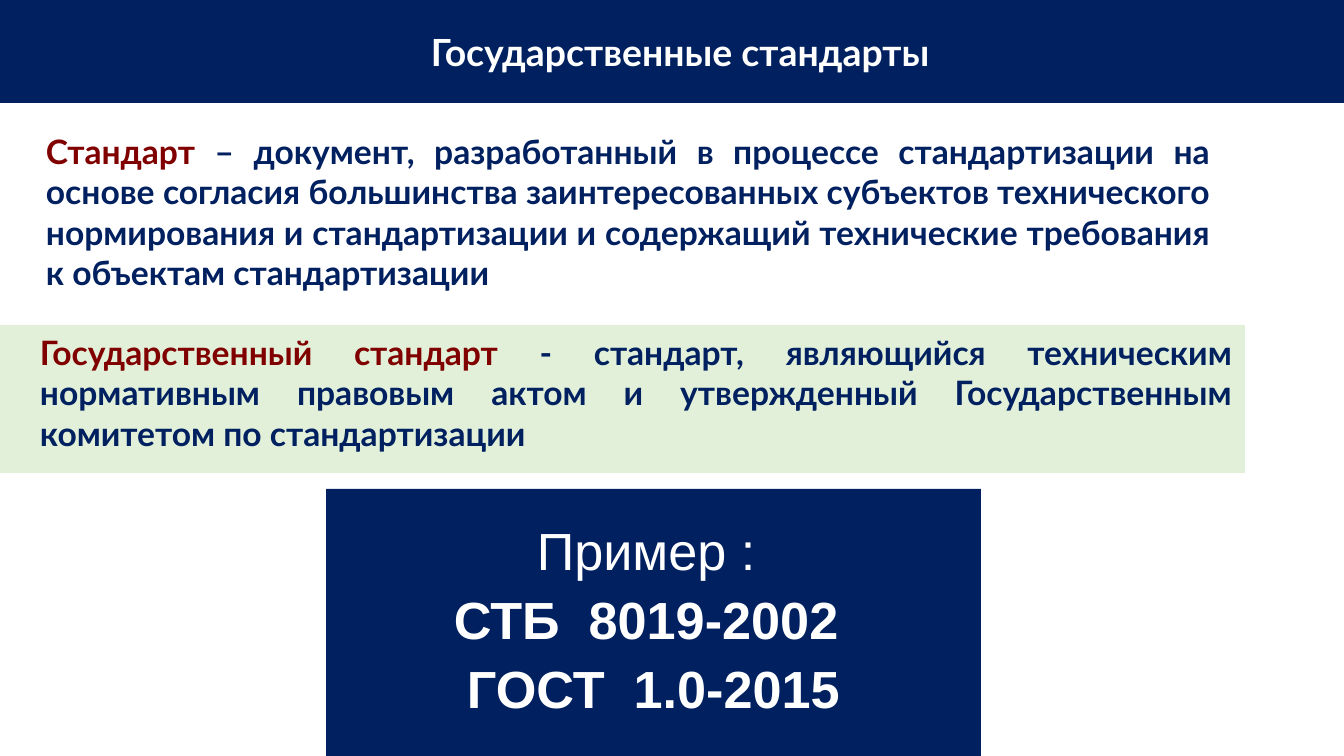
from pptx import Presentation
from pptx.dml.color import RGBColor
from pptx.enum.shapes import MSO_SHAPE
from pptx.enum.text import MSO_ANCHOR, MSO_AUTO_SIZE, PP_ALIGN
from pptx.util import Emu, Pt

RECTANGLE = MSO_SHAPE.RECTANGLE
TOP, MIDDLE = MSO_ANCHOR.TOP, MSO_ANCHOR.MIDDLE
CENTER, JUSTIFY = PP_ALIGN.CENTER, PP_ALIGN.JUSTIFY
NAVY, MAROON, GREEN, WHITE = "002060", "800000", "E2F0D9", "FFFFFF"
TITLE_ONLY = 5


def px(count):
    return Emu(round(count * 914400 / 100.8))


def write(box, paragraphs, size, font="Lato", align=JUSTIFY, anchor=TOP,
          fill=None, indent=0, after=0, spacing=1.0, insets=(13, 7)):
    """Fill the box with paragraphs, each a list of (text, colour, bold)."""
    if fill:
        box.fill.solid()
        box.fill.fore_color.rgb = RGBColor.from_string(fill)
        box.line.fill.background()
    frame = box.text_frame
    frame.word_wrap = True
    frame.auto_size = MSO_AUTO_SIZE.NONE
    frame.vertical_anchor = anchor
    frame.margin_left = frame.margin_right = px(insets[0])
    frame.margin_top = frame.margin_bottom = px(insets[1])
    for index, spans in enumerate(paragraphs):
        para = frame.add_paragraph() if index else frame.paragraphs[0]
        para.alignment = align
        para.line_spacing = spacing
        para.space_before = Pt(round(size * 0.24, 1))
        para.space_after = Pt(after)
        properties = para._p.get_or_add_pPr()
        properties.set("marL", str(px(indent)))
        properties.set("indent", "0")
        for text, color, bold in spans:
            span = para.add_run()
            span.text = text
            span.font.name = font
            span.font.size = Pt(size)
            span.font.bold = bold
            span.font.color.rgb = RGBColor.from_string(color)


deck = Presentation()
deck.slide_width, deck.slide_height = px(1344), px(756)
page = deck.slides.add_slide(deck.slide_layouts[TITLE_ONLY])

title = page.shapes.title
title.left, title.top, title.width, title.height = px(0), px(0), px(1344), px(103)
write(title, [[("Государственные стандарты", WHITE, True)]], 26.7,
      align=CENTER, anchor=MIDDLE, fill=NAVY, indent=17)

definition = page.shapes.add_textbox(px(16), px(124), px(1207), px(201))
write(definition, [[
    ("Стандарт ", MAROON, True),
    ("– документ, разработанный в процессе стандартизации на основе согласия "
     "большинства заинтересованных субъектов технического нормирования и "
     "стандартизации и содержащий технические требования к объектам "
     "стандартизации", NAVY, True),
]], 24, indent=17, after=8)

state_standard = page.shapes.add_shape(RECTANGLE, px(0), px(325), px(1245), px(148))
state_standard.shadow.inherit = False
write(state_standard, [[
    ("Государственный стандарт ", MAROON, True),
    ("- стандарт, являющийся техническим нормативным правовым актом и "
     "утвержденный Государственным комитетом по стандартизации", NAVY, True),
]], 24, fill=GREEN, indent=27, after=8)

example = page.shapes.add_shape(RECTANGLE, px(326), px(489), px(655), px(267))
example.shadow.inherit = False
write(example, [
    [("Пример : ", WHITE, False)],
    [("СТБ  8019-2002 ", WHITE, True)],
    [("ГОСТ  1.0-2015", WHITE, True)],
], 37.3, font="Arial", align=CENTER, anchor=MIDDLE, fill=NAVY,
    spacing=0.9, insets=(10, 5))

deck.save("out.pptx")
